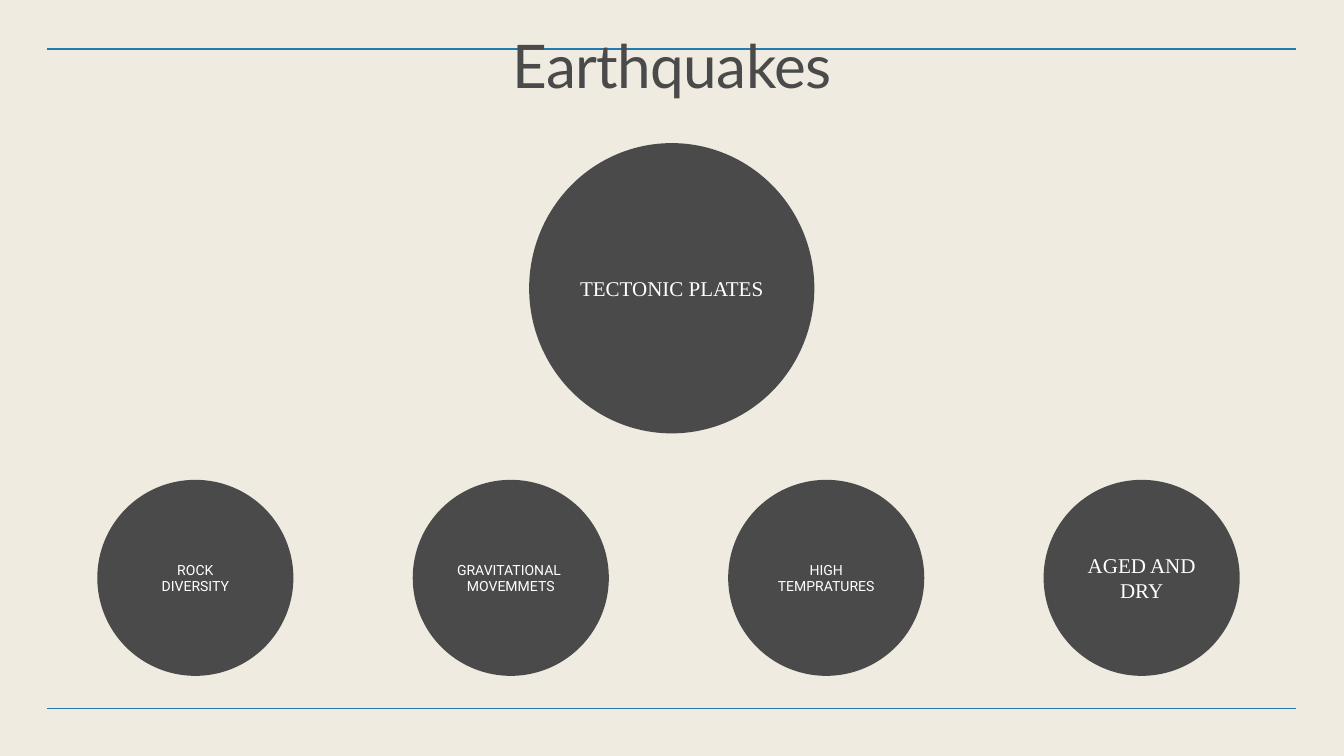
from lxml.etree import SubElement
from pptx import Presentation
from pptx.dml.color import RGBColor
from pptx.enum.shapes import MSO_CONNECTOR, MSO_SHAPE
from pptx.enum.text import MSO_ANCHOR, PP_ALIGN
from pptx.oxml.ns import qn
from pptx.util import Inches, Pt

COLOURS = {"paper": "F0EBE0", "rule": "227AAF", "title": "4A4A4A",
           "circle": "4B4A4B", "label": "FFFFFF"}
SERIF = {"name": "Times New Roman", "size": Pt(30)}
SANS = {"name": "Roboto", "size": Pt(20)}
HEADING = {"name": "Lato", "size": Pt(86)}
INSET = Inches(0.06)


class CauseSlide:
    """One slide on a grid of 100 columns by 100 rows."""

    def __init__(self, deck):
        self.column = deck.slide_width / 100
        self.row = deck.slide_height / 100
        self.slide = deck.slides.add_slide(deck.slide_layouts[6])
        background = self.slide.background.fill
        background.solid()
        background.fore_color.rgb = self.colour("paper")

    def colour(self, key):
        return RGBColor.from_string(COLOURS[key])

    def box(self, left, top, width, height):
        return (round(left * self.column), round(top * self.row),
                round(width * self.column), round(height * self.row))

    def set_text(self, frame, lines, font, colour, anchor, run_format, spacing=1.0):
        frame_format = {"word_wrap": True, "vertical_anchor": anchor,
                        "margin_left": INSET, "margin_right": INSET,
                        "margin_top": INSET, "margin_bottom": INSET}
        for key, value in frame_format.items():
            setattr(frame, key, value)
        for index, line in enumerate(lines):
            paragraph = frame.add_paragraph() if index else frame.paragraphs[0]
            paragraph.alignment = PP_ALIGN.CENTER
            paragraph.line_spacing = spacing
            run = paragraph.add_run()
            run.text = line
            for key, value in font.items():
                setattr(run.font, key, value)
            run.font.color.rgb = self.colour(colour)
            for key, value in run_format.items():
                run.font._element.set(key, value)

    def rule(self, row, weight):
        left, top, width, _ = self.box(3.52, row, 92.92, 0)
        rule = self.slide.shapes.add_connector(
            MSO_CONNECTOR.STRAIGHT, left, top, left + width, top)
        rule.line.color.rgb = self.colour("rule")
        rule.line.width = Pt(weight)
        SubElement(rule._element.spPr, qn("a:effectLst"))

    def title(self, text, *place):
        heading = self.slide.shapes.add_textbox(*self.box(*place))
        self.set_text(heading.text_frame, [text], HEADING, "title",
                      MSO_ANCHOR.TOP, {"spc": "-90"}, 0.8)

    def circle(self, lines, font, *place):
        circle = self.slide.shapes.add_shape(MSO_SHAPE.OVAL, *self.box(*place))
        circle.shadow.inherit = False
        circle.fill.solid()
        circle.fill.fore_color.rgb = self.colour("circle")
        circle.line.fill.background()
        self.set_text(circle.text_frame, lines, font, "label",
                      MSO_ANCHOR.MIDDLE, {"cap": "all"})


def main():
    deck = Presentation()
    deck.slide_width, deck.slide_height = Inches(26.67), Inches(15)
    earthquakes = CauseSlide(deck)

    # Rules and title
    earthquakes.rule(6.47, 4)
    earthquakes.rule(93.73, 1)
    earthquakes.title("Earthquakes", 7.09, 5.13, 85.83, 12.8)

    # Main cause
    earthquakes.circle(["TECTONIC PLATES"], SERIF, 39.37, 18.93, 21.22, 38.4)

    # Row of further causes, evenly spaced
    causes = [(["Rock", "Diversity"], SANS),
              (["Gravitational ", "movemmets"], SANS),
              (["High", "Tempratures"], SANS),
              (["AGED AND DRY"], SERIF)]
    for index, (lines, font) in enumerate(causes):
        earthquakes.circle(lines, font, 7.24 + index * 23.47, 63.47, 14.59, 25.93)

    deck.save("out.pptx")


if __name__ == "__main__":
    main()
